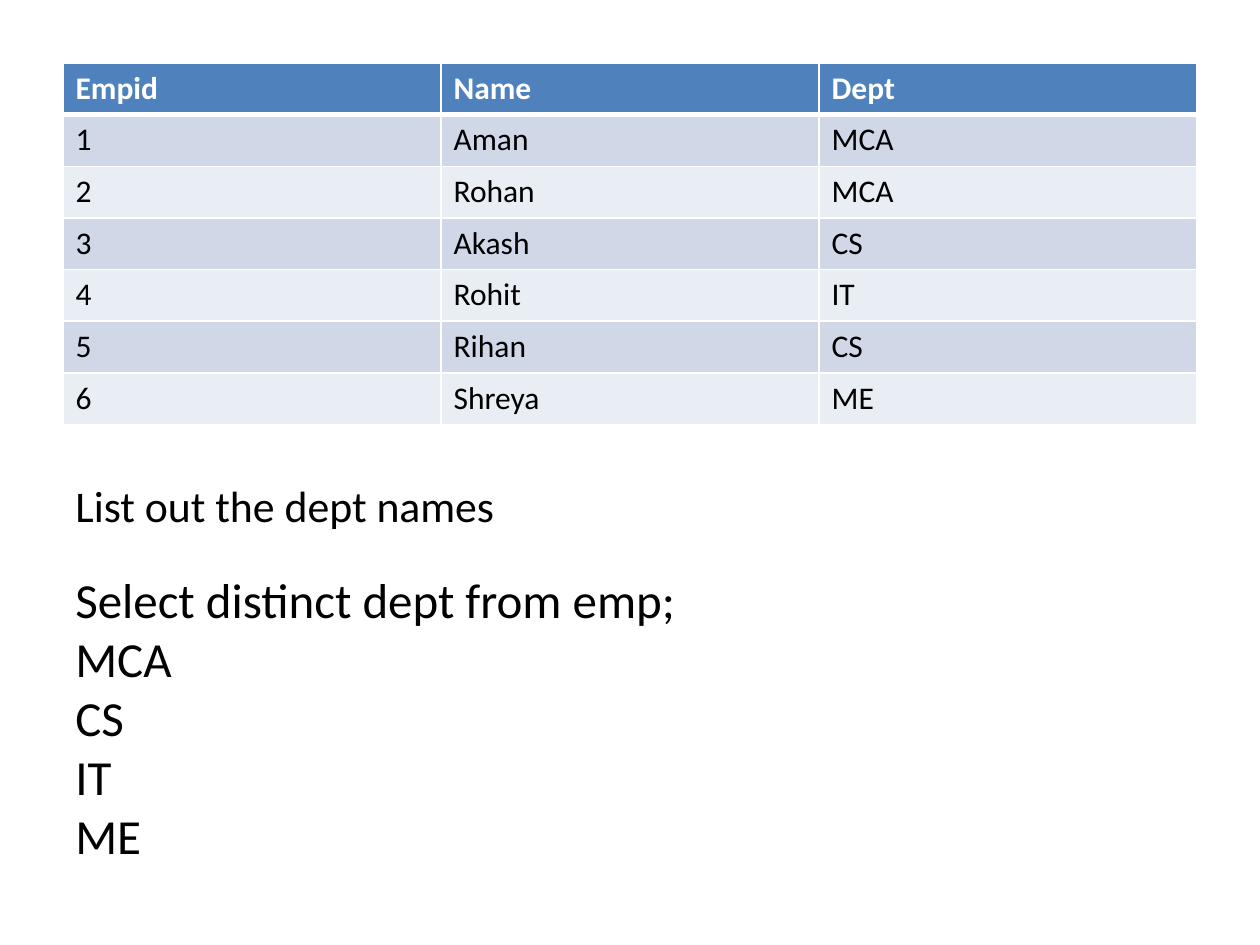
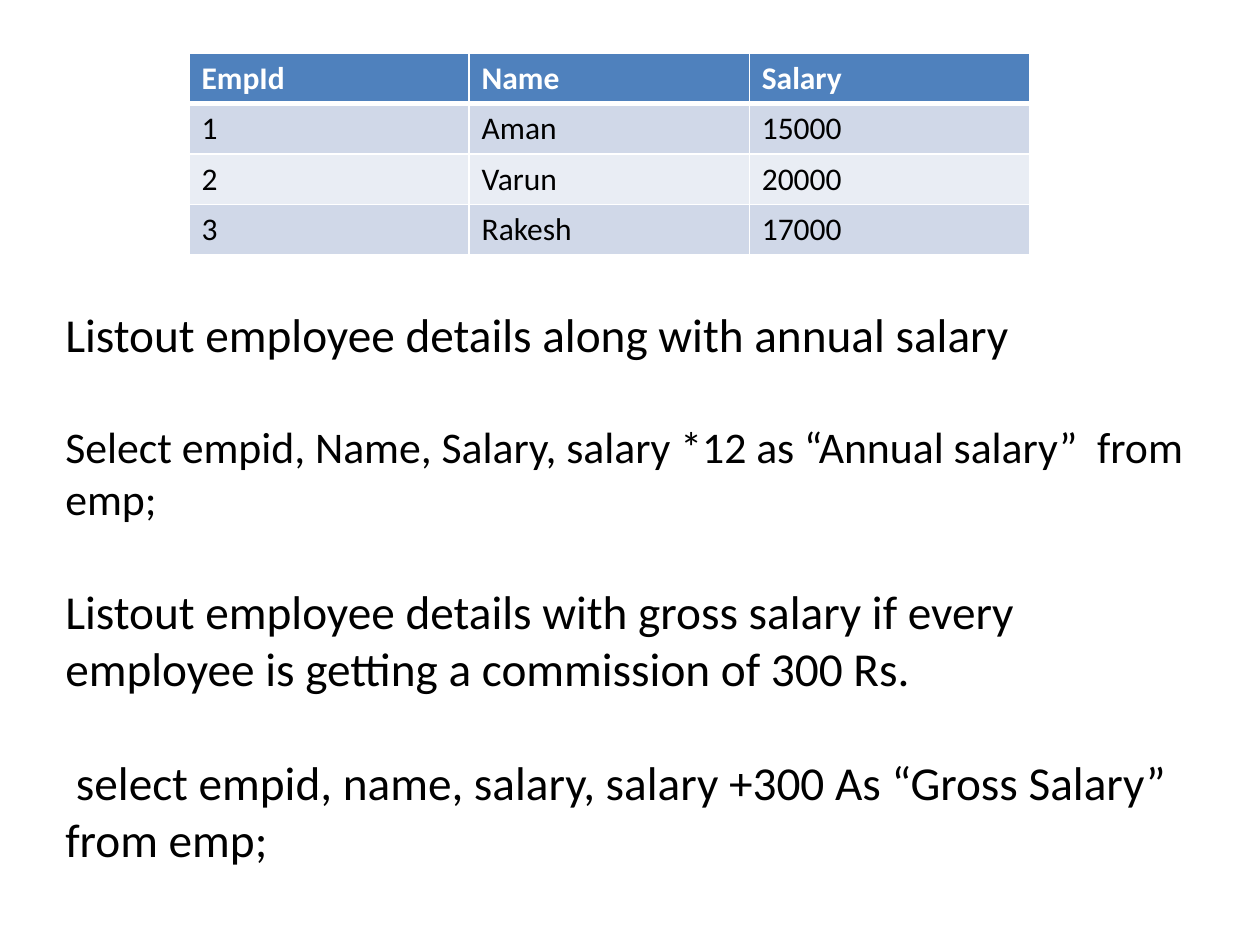
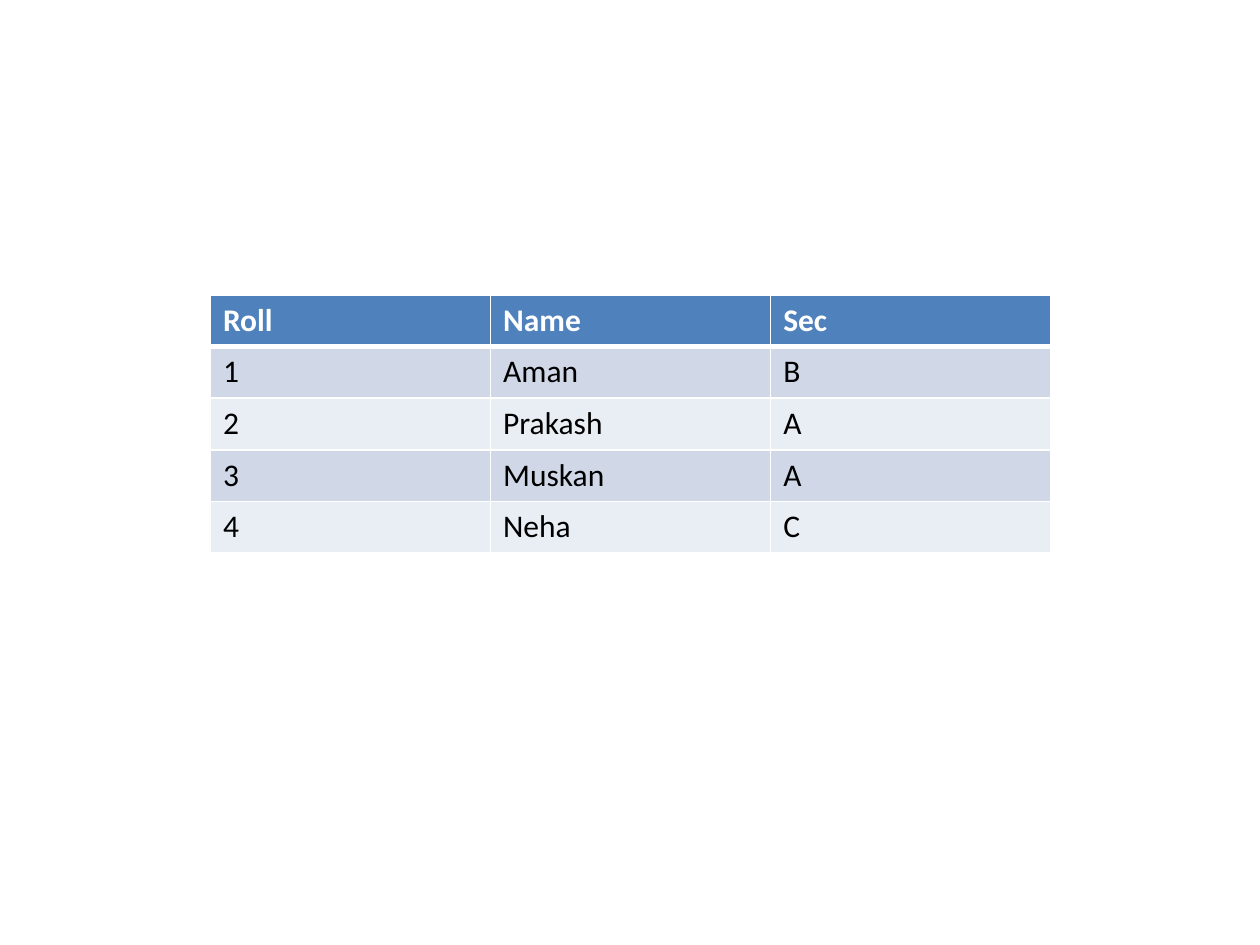
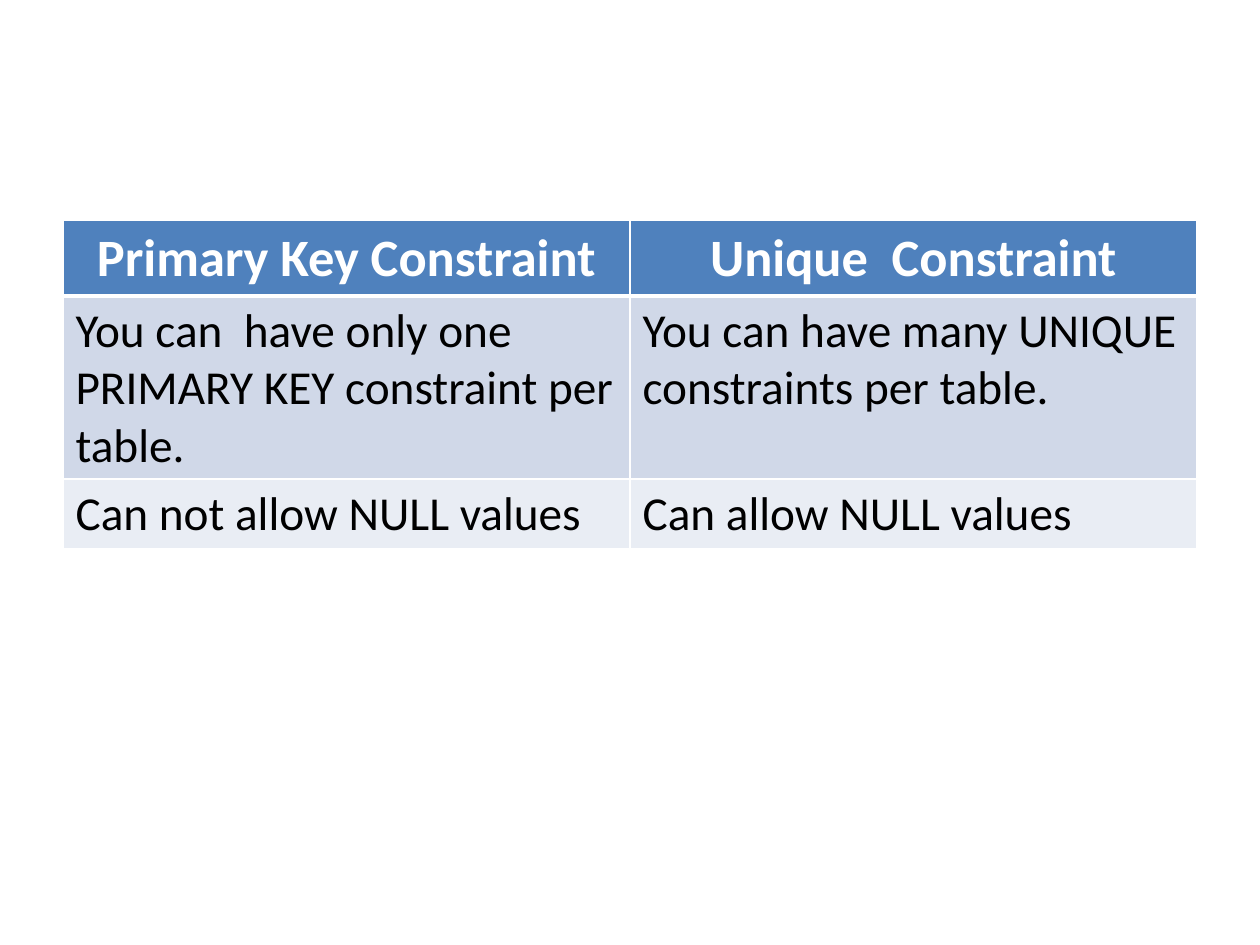
from pptx import Presentation
from pptx.dml.color import RGBColor
from pptx.enum.text import MSO_AUTO_SIZE, PP_ALIGN
from pptx.oxml import parse_xml
from pptx.oxml.ns import nsdecls
from pptx.util import Inches, Pt

FIT_SHAPE = MSO_AUTO_SIZE.SHAPE_TO_FIT_TEXT
LEFT, CENTER = PP_ALIGN.LEFT, PP_ALIGN.CENTER

WHITE = RGBColor(0xFF, 0xFF, 0xFF)
BLACK = RGBColor(0x00, 0x00, 0x00)
HEADER = RGBColor(0x4F, 0x81, 0xBD)
BANDS = (RGBColor(0xD0, 0xD8, 0xE8), RGBColor(0xE9, 0xED, 0xF4))
FONT = "Calibri"
THIN, THICK = 1, 3

SLIDES = [
    {
        "table": {
            "at": (0.5, 0.5), "width": 9, "heights": [0.41] * 7,
            "rows": [
                ("Empid", "Name", "Dept"),
                ("1", "Aman", "MCA"),
                ("2", "Rohan", "MCA"),
                ("3", "Akash", "CS"),
                ("4", "Rohit", "IT"),
                ("5", "Rihan", "CS"),
                ("6", "Shreya", "ME"),
            ],
        },
        "text": {
            "box": (0.5, 3.75, 8.75, 3.65),
            "lines": [
                ("List out the dept names", 25, 0),
                ("Select distinct dept from emp;", 28, 22),
                ("MCA", 28, 0),
                ("CS", 28, 0),
                ("IT", 28, 0),
                ("ME", 28, 0),
            ],
        },
    },
    {
        "table": {
            "at": (1.5, 0.42), "width": 6.67, "heights": [0.4] * 4,
            "rows": [
                ("EmpId", "Name", "Salary"),
                ("1", "Aman", "15000"),
                ("2", "Varun", "20000"),
                ("3", "Rakesh", "17000"),
            ],
        },
        "text": {
            "box": (0.42, 2.37, 9.17, 4.58),
            "lines": [
                ("Listout employee details along with annual salary", 27, 0),
                ("Select empid, Name, Salary, salary *12 as “Annual salary”  from emp;", 25, 33),
                ("Listout employee details with gross salary if every employee is "
                 "getting a commission of 300 Rs.", 27, 33),
                (" select empid, name, salary, salary +300 As “Gross Salary” from emp;", 27, 33),
            ],
        },
    },
    {
        "table": {
            "at": (1.67, 2.34), "width": 6.67, "heights": [0.41] * 5,
            "rows": [
                ("Roll", "Name", "Sec"),
                ("1", "Aman", "B"),
                ("2", "Prakash", "A"),
                ("3", "Muskan", "A"),
                ("4", "Neha", "C"),
            ],
        },
    },
    {
        "table": {
            "at": (0.5, 1.75), "width": 9, "heights": [0.6, 1.45, 0.55],
            "header_size": 30, "body_size": 27, "header_align": CENTER,
            "rows": [
                ("Primary Key Constraint", "Unique  Constraint"),
                ("You can  have only one PRIMARY KEY constraint per table.",
                 "You can have many UNIQUE constraints per table."),
                ("Can not allow NULL values", "Can allow NULL values"),
            ],
        },
    },
]


def write(p, text, size=18, color=BLACK, bold=False, align=LEFT, before=0):
    p.alignment = align
    if before:
        p.space_before = Pt(before)
    r = p.add_run()
    r.text = text
    r.font.name = FONT
    r.font.size = Pt(size)
    r.font.bold = bold
    r.font.color.rgb = color


def set_borders(cell, top, bottom):
    tc_pr = cell._tc.get_or_add_tcPr()
    for side, width in (("L", THIN), ("R", THIN), ("T", top), ("B", bottom)):
        tc_pr.append(parse_xml(
            f'<a:ln{side} {nsdecls("a")} w="{Pt(width)}"><a:solidFill>'
            f'<a:srgbClr val="{WHITE}"/></a:solidFill></a:ln{side}>'))


def add_grid(slide, at, width, heights, rows, header_size=18, body_size=18,
             header_align=LEFT):
    columns = len(rows[0])
    x, y = at
    table = slide.shapes.add_table(len(rows), columns, Inches(x), Inches(y),
                                   Inches(width), Inches(sum(heights))).table
    for i, (row, height) in enumerate(zip(rows, heights)):
        table.rows[i].height = Inches(height)
        for j, text in enumerate(row):
            cell = table.cell(i, j)
            set_borders(cell, THICK if i == 1 else THIN, THICK if i == 0 else THIN)
            cell.fill.solid()
            p = cell.text_frame.paragraphs[0]
            if i == 0:
                cell.fill.fore_color.rgb = HEADER
                write(p, text, size=header_size, color=WHITE, bold=True, align=header_align)
            else:
                cell.fill.fore_color.rgb = BANDS[(i - 1) % 2]
                write(p, text, size=body_size)


def add_text(slide, box, lines):
    tf = slide.shapes.add_textbox(*map(Inches, box)).text_frame
    tf.word_wrap = True
    tf.auto_size = FIT_SHAPE
    for i, (text, size, before) in enumerate(lines):
        p = tf.add_paragraph() if i else tf.paragraphs[0]
        write(p, text, size=size, before=before)


def main():
    prs = Presentation()
    prs.slide_width, prs.slide_height = Inches(10), Inches(7.5)
    blank = prs.slide_layouts[6]
    for content in SLIDES:
        slide = prs.slides.add_slide(blank)
        add_grid(slide, **content["table"])
        if "text" in content:
            add_text(slide, **content["text"])
    prs.save("out.pptx")


if __name__ == "__main__":
    main()
